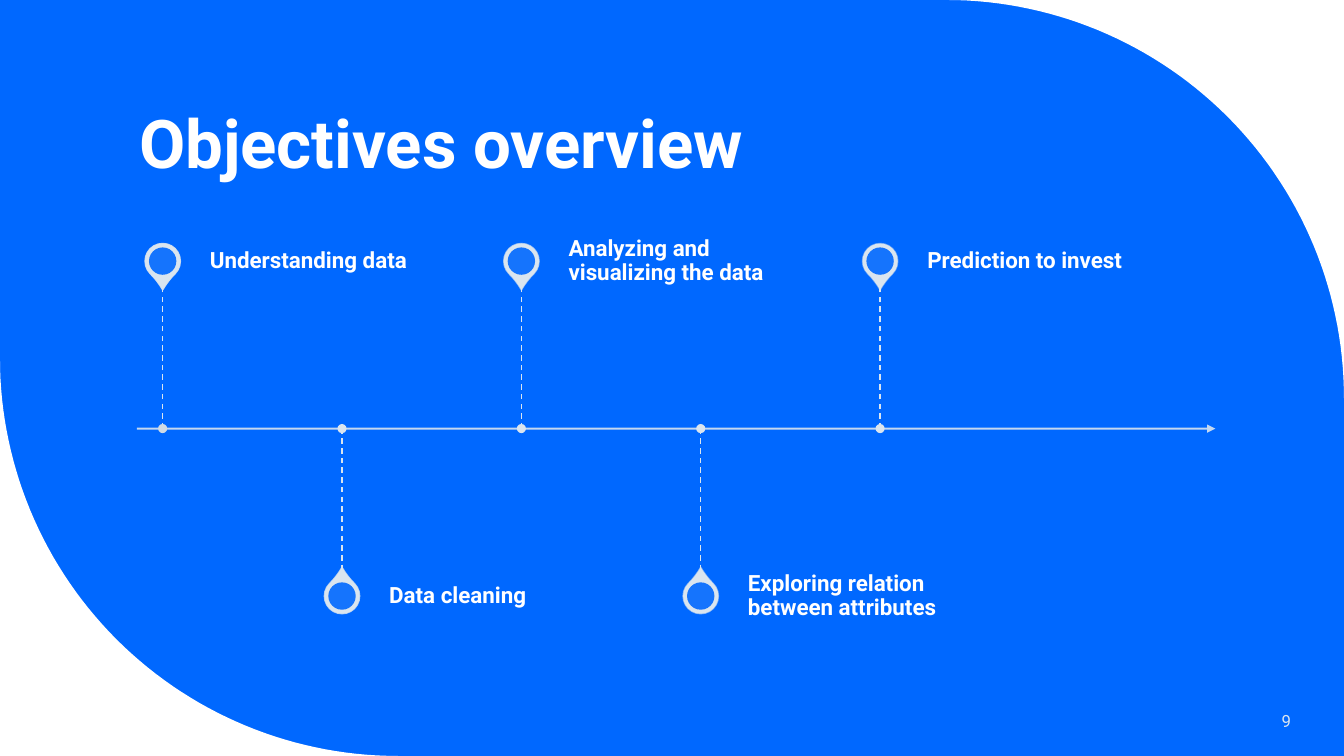
import math

from lxml import etree
from pptx import Presentation
from pptx.dml.color import RGBColor
from pptx.enum.dml import MSO_LINE
from pptx.enum.shapes import MSO_CONNECTOR, MSO_SHAPE
from pptx.enum.text import MSO_ANCHOR, MSO_AUTO_SIZE, PP_ALIGN
from pptx.oxml.ns import qn
from pptx.util import Cm, Pt

STRAIGHT = MSO_CONNECTOR.STRAIGHT
ELLIPSE, TEARDROP = MSO_SHAPE.OVAL, MSO_SHAPE.TEAR
DASH = MSO_LINE.DASH
BOTTOM, MIDDLE = MSO_ANCHOR.BOTTOM, MSO_ANCHOR.MIDDLE
LEFT, RIGHT = PP_ALIGN.LEFT, PP_ALIGN.RIGHT
NO_AUTOFIT = MSO_AUTO_SIZE.NONE

FONT = "Roboto"
COLORS = {"blue": "0068FF", "white": "FFFFFF", "pale": "DAE5EF", "start_dot": "D0DBE4"}
SLIDE_W, SLIDE_H = 33.87, 19.05
CORNER_RADIUS = 10.03
ARC_STEPS = 60

AXIS_Y, AXIS_START, AXIS_END = 10.8, 3.45, 30.63
FIRST_X, STEP_X = 4.1, 4.52
PIN_OFFSET, STEM_LENGTH = 4.22, 3.58
PIN_SIZE, HOLE_SIZE, DOT_SIZE = 0.89, 0.69, 0.23
LABEL_GAP, LABEL_W, LABEL_H = 1.19, 6.44, 1.27

OBJECTIVES = [
    "Understanding data",
    "Data cleaning",
    "Analyzing and visualizing the data",
    "Exploring relation between attributes",
    "Prediction to invest",
]


def rgb(name):
    """Return the named palette colour."""
    return RGBColor.from_string(COLORS[name])


def set_opacity(shape, color_path, percent):
    """Set the opacity of the colour found at an XPath inside the shape."""
    color = shape.element.xpath(color_path)[0]
    etree.SubElement(color, qn("a:alpha")).set("val", str(percent * 1000))


def set_line(shape, width, opacity=100):
    """Give a shape or connector a pale line."""
    shape.line.color.rgb = rgb("pale")
    shape.line.width = Pt(width)
    if opacity < 100:
        set_opacity(shape, ".//a:ln//a:srgbClr", opacity)


def set_fill(shape, color):
    """Fill a shape plainly, without line or shadow."""
    shape.shadow.inherit = False
    shape.fill.solid()
    shape.fill.fore_color.rgb = rgb(color)
    shape.line.fill.background()


def add_corner(slide, corner_x, corner_y):
    """Add the white area outside a quarter circle at a slide corner."""
    side_x = 1 if corner_x else -1
    side_y = 1 if corner_y else -1
    center_x = corner_x - side_x * CORNER_RADIUS
    center_y = corner_y - side_y * CORNER_RADIUS
    angles = [math.pi / 2 * step / ARC_STEPS for step in range(ARC_STEPS + 1)]
    arc = [
        (Cm(center_x + side_x * CORNER_RADIUS * math.cos(angle)),
         Cm(center_y + side_y * CORNER_RADIUS * math.sin(angle)))
        for angle in angles
    ]
    builder = slide.shapes.build_freeform(Cm(corner_x), Cm(corner_y))
    builder.add_line_segments(arc, close=True)
    set_fill(builder.convert_to_shape(), "white")


def add_line(slide, start, end, width, opacity=100):
    """Add a straight pale line between two points."""
    line = slide.shapes.add_connector(STRAIGHT, *map(Cm, start + end))
    set_line(line, width, opacity)
    etree.SubElement(line.element.spPr, qn("a:effectLst"))
    return line


def add_centered(slide, kind, center_x, center_y, size, color):
    """Add a filled shape around a center point."""
    shape = slide.shapes.add_shape(
        kind, Cm(center_x - size / 2), Cm(center_y - size / 2), Cm(size), Cm(size)
    )
    set_fill(shape, color)
    return shape


def write(frame, text, size, color, bold, anchor, align=LEFT, spacing=0.9):
    """Write one formatted paragraph into a text frame."""
    frame.word_wrap = True
    frame.auto_size = NO_AUTOFIT
    frame.vertical_anchor = anchor
    paragraph = frame.paragraphs[0]
    paragraph.alignment = align
    paragraph.line_spacing = spacing
    run = paragraph.add_run()
    run.text = text
    run.font.name = FONT
    run.font.size = Pt(size)
    run.font.bold = bold
    run.font.color.rgb = rgb(color)


def add_title(slide, text):
    """Place and fill the title placeholder."""
    title = slide.shapes.title
    title.left, title.top = Cm(3.25), Cm(1.07)
    title.width, title.height = Cm(27.15), Cm(3.68)
    write(title.text_frame, text, 48, "white", True, BOTTOM)


def add_axis(slide):
    """Add the timeline arrow."""
    axis = add_line(slide, (AXIS_START, AXIS_Y), (AXIS_END, AXIS_Y), 1.5, 90)
    outline = axis.element.xpath(".//a:ln")[0]
    etree.SubElement(outline, qn("a:tailEnd")).set("type", "triangle")


def add_label(slide, text, left, center_y):
    """Add the name of an objective beside its pin."""
    label = slide.shapes.add_textbox(
        Cm(left), Cm(center_y - LABEL_H / 2), Cm(LABEL_W), Cm(LABEL_H)
    )
    frame = label.text_frame
    frame.margin_left = frame.margin_top = frame.margin_bottom = 0
    frame.margin_right = Cm(0.28)
    write(frame, text, 16, "white", True, MIDDLE)


def add_objective(slide, index, text):
    """Add a pin, label, stem and dot, alternating above and below the axis."""
    center_x = FIRST_X + index * STEP_X
    side = 1 if index % 2 else -1
    pin_y = AXIS_Y + side * PIN_OFFSET

    pin = add_centered(slide, TEARDROP, center_x, pin_y, PIN_SIZE, "pale")
    pin.adjustments[0] = 1.15
    pin.rotation = 225 + side * 90
    set_line(pin, 1, 90 - 10 * index)
    hole = add_centered(slide, ELLIPSE, center_x, pin_y, HOLE_SIZE, "blue")
    set_opacity(hole, "./p:spPr/a:solidFill/a:srgbClr", 90)

    add_label(slide, text, center_x + LABEL_GAP, pin_y)
    stem = add_line(
        slide, (center_x, AXIS_Y), (center_x, AXIS_Y + side * STEM_LENGTH), 1
    )
    stem.line.dash_style = DASH
    dot_color = "pale" if index else "start_dot"
    add_centered(slide, ELLIPSE, center_x, AXIS_Y, DOT_SIZE, dot_color)


def add_page_number(slide, number):
    """Add the page number at the lower right."""
    box = slide.shapes.add_textbox(Cm(28.19), Cm(17.65), Cm(4.6), Cm(1.02))
    write(box.text_frame, number, 12, "pale", False, MIDDLE, RIGHT, 1.0)


def main():
    """Build and save the slide."""
    deck = Presentation()
    deck.slide_width, deck.slide_height = Cm(SLIDE_W), Cm(SLIDE_H)
    slide = deck.slides.add_slide(deck.slide_layouts.get_by_name("Title Only"))
    slide.background.fill.solid()
    slide.background.fill.fore_color.rgb = rgb("blue")

    add_corner(slide, SLIDE_W, 0)
    add_corner(slide, 0, SLIDE_H)
    add_title(slide, "Objectives overview")
    add_axis(slide)
    for index, text in enumerate(OBJECTIVES):
        add_objective(slide, index, text)
    add_page_number(slide, "9")
    deck.save("out.pptx")


if __name__ == "__main__":
    main()
